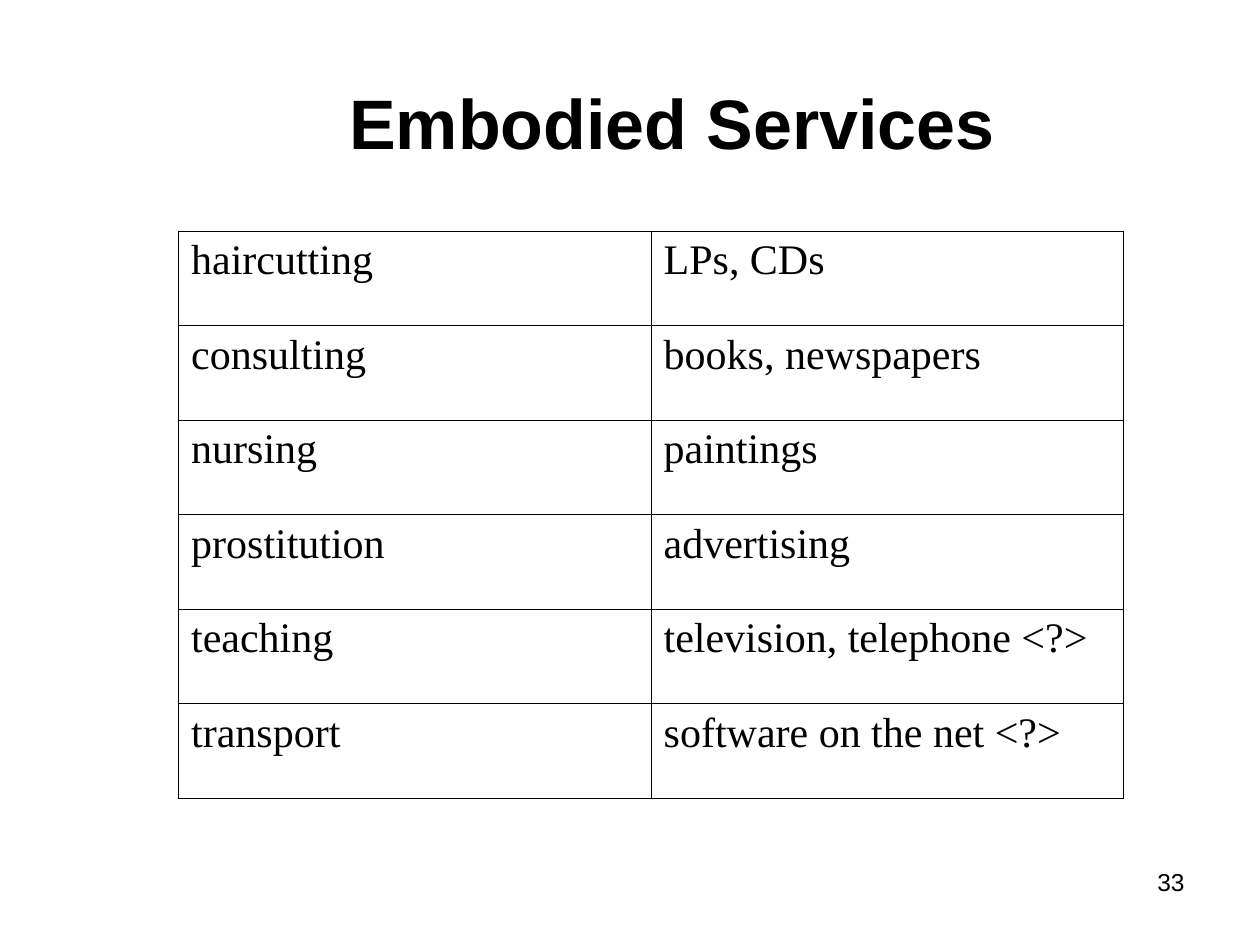
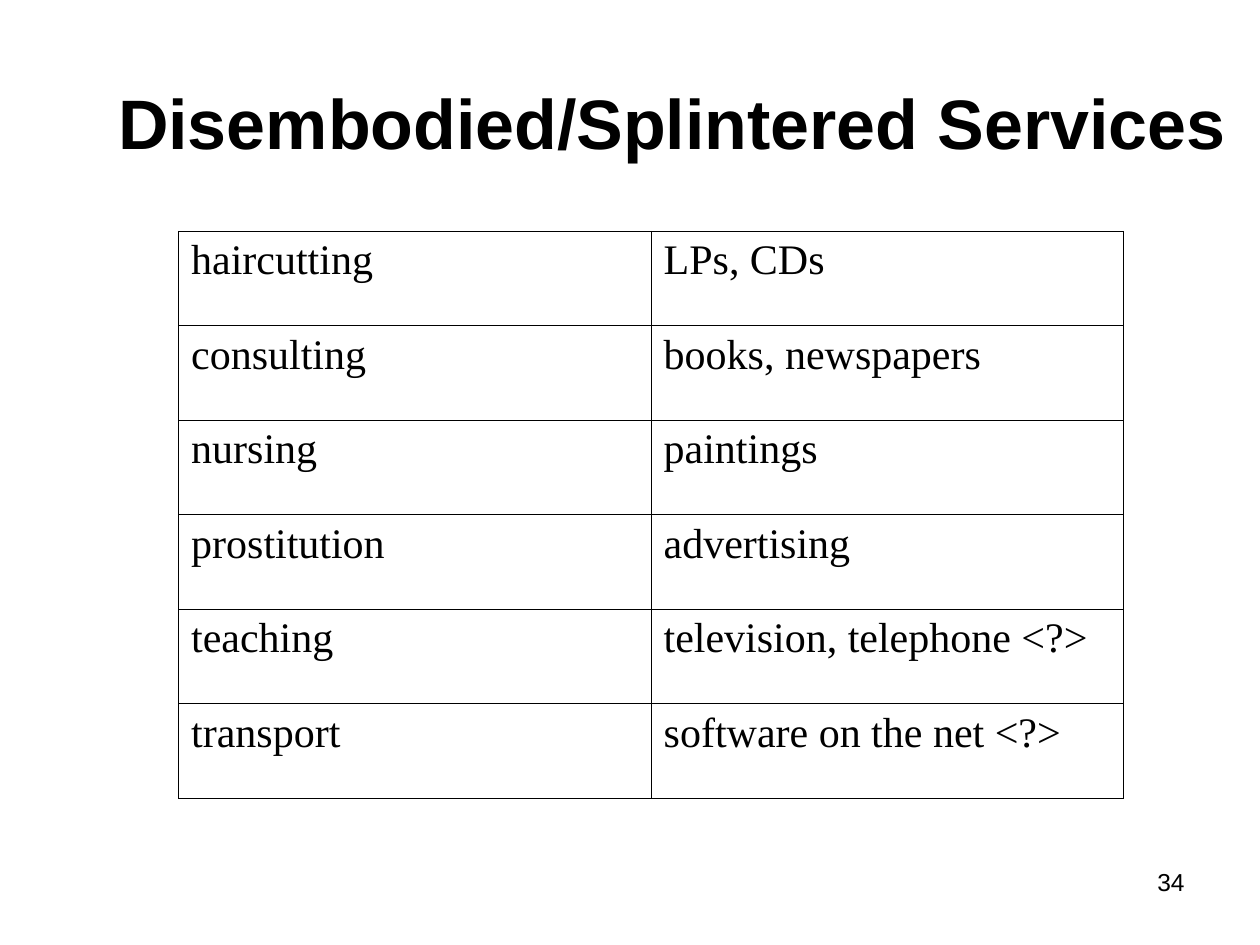
"""Build two slides that set embodied services beside their disembodied forms."""
from dataclasses import dataclass

import pptx
import pptx.dml.color
import pptx.enum.text
import pptx.oxml
import pptx.oxml.ns
import pptx.util

Cm = pptx.util.Cm
Pt = pptx.util.Pt
ALIGN = pptx.enum.text.PP_ALIGN
ANCHOR = pptx.enum.text.MSO_ANCHOR


@dataclass(frozen=True)
class Theme:
    ink: str = "000000"
    paper: str = "FFFFFF"
    heading_font: str = "Arial"
    table_font: str = "Times New Roman"
    title_size: int = 40
    table_size: int = 24
    number_size: int = 14
    rule_width: float = 0.45


class Deck:
    TITLE_ONLY = 5

    def __init__(self, theme):
        self.theme = theme
        self.presentation = pptx.Presentation()
        self.presentation.slide_width = Cm(25.4)
        self.presentation.slide_height = Cm(19.05)
        self.slide = None

    def add_slide(self):
        layout = self.presentation.slide_layouts[self.TITLE_ONLY]
        self.slide = self.presentation.slides.add_slide(layout)
        self.paint(self.slide.background.fill)

    def paint(self, fill):
        fill.solid()
        fill.fore_color.rgb = pptx.dml.color.RGBColor.from_string(self.theme.paper)

    def add_text(self, frame, wording, font, size, align, bold=False):
        frame.word_wrap = True
        paragraph = frame.paragraphs[0]
        paragraph.alignment = align
        run = paragraph.add_run()
        run.text = wording
        run.font.name = font
        run.font.size = Pt(size)
        run.font.bold = bold
        run.font.color.rgb = pptx.dml.color.RGBColor.from_string(self.theme.ink)

    def title(self, wording):
        heading = self.slide.shapes.title
        heading.left, heading.top = Cm(1.69), Cm(0.85)
        heading.width, heading.height = Cm(23.71), Cm(3.18)
        frame = heading.text_frame
        frame.auto_size = pptx.enum.text.MSO_AUTO_SIZE.NONE
        frame.vertical_anchor = ANCHOR.MIDDLE
        self.add_text(frame, wording, self.theme.heading_font,
                      self.theme.title_size, ALIGN.CENTER, bold=True)

    def page_number(self, number):
        corner = self.slide.shapes.add_textbox(Cm(18.2), Cm(17.36), Cm(5.93), Cm(1.32))
        self.add_text(corner.text_frame, str(number), self.theme.heading_font,
                      self.theme.number_size, ALIGN.RIGHT)

    def table(self, rows):
        grid = self.slide.shapes.add_table(
            len(rows), len(rows[0]), Cm(3.6), Cm(4.66), Cm(19.05), Cm(11.43)).table
        grid.first_row = False
        grid.horz_banding = False
        for row, wordings in zip(grid.rows, rows):
            for cell, wording in zip(row.cells, wordings):
                self.rule(cell)
                self.paint(cell.fill)
                cell.vertical_anchor = ANCHOR.TOP
                self.add_text(cell.text_frame, wording, self.theme.table_font,
                              self.theme.table_size, ALIGN.LEFT)

    def rule(self, cell):
        properties = cell._tc.get_or_add_tcPr()
        for side in ("lnL", "lnR", "lnT", "lnB"):
            properties.append(pptx.oxml.parse_xml(
                f'<a:{side} {pptx.oxml.ns.nsdecls("a")} w="{int(Pt(self.theme.rule_width))}">'
                f'<a:solidFill><a:srgbClr val="{self.theme.ink}"/></a:solidFill>'
                f'</a:{side}>'))


SERVICES = [
    ("haircutting", "LPs, CDs"),
    ("consulting", "books, newspapers"),
    ("nursing", "paintings"),
    ("prostitution", "advertising"),
    ("teaching", "television, telephone <?>"),
    ("transport", "software on the net <?>"),
]
TITLES = ["Embodied Services", "Disembodied/Splintered Services"]
FIRST_PAGE = 33


def main():
    deck = Deck(Theme())
    for number, heading in enumerate(TITLES, FIRST_PAGE):
        deck.add_slide()
        deck.title(heading)
        deck.table(SERVICES)
        deck.page_number(number)
    deck.presentation.save("out.pptx")


if __name__ == "__main__":
    main()
